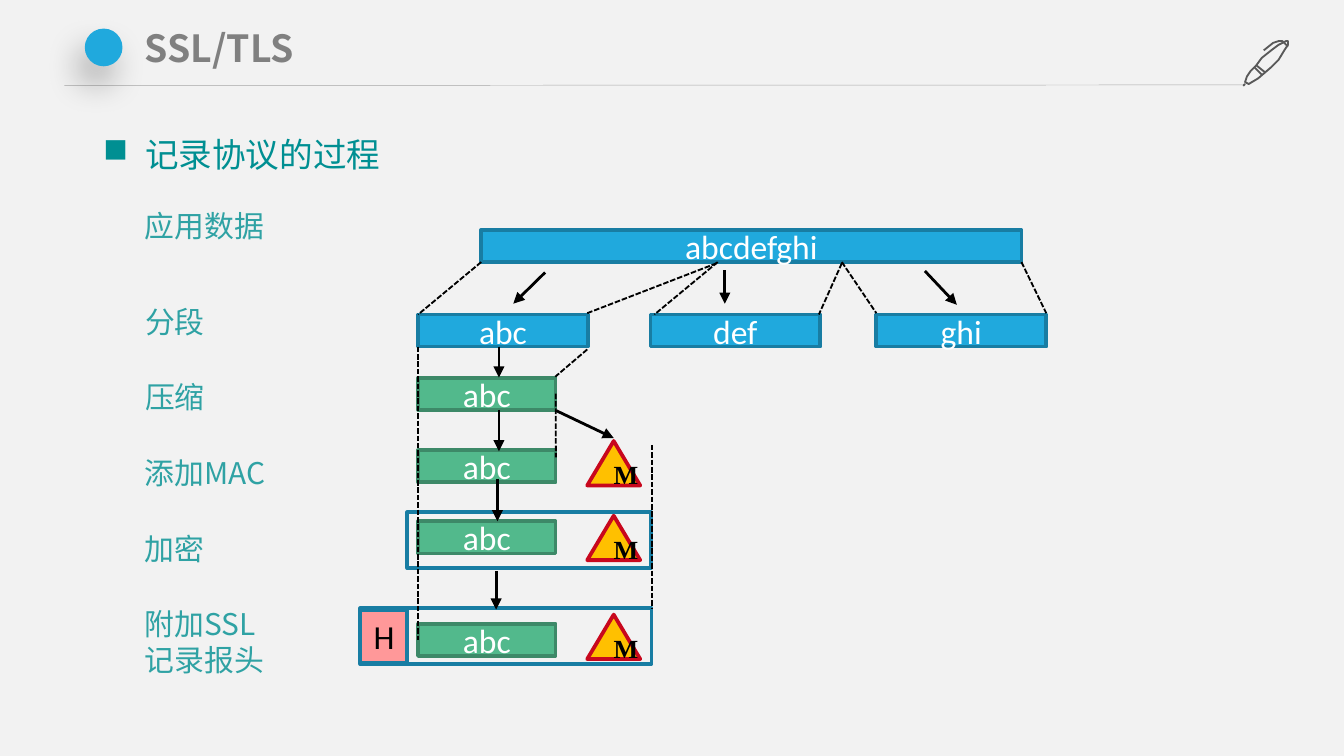
"""Build the slide on the steps of the SSL/TLS record protocol."""
import lxml.etree
import pptx
import pptx.dml.color
import pptx.enum.dml
import pptx.enum.shapes
import pptx.enum.text
import pptx.oxml.ns
import pptx.util

Pt = pptx.util.Pt
qn = pptx.oxml.ns.qn
add = lxml.etree.SubElement
kinds = pptx.enum.shapes.MSO_SHAPE
hue = pptx.dml.color.RGBColor.from_string
sans = "Noto Sans CJK SC"
styles = {
    "title": ({"name": sans, "size": Pt(20), "bold": True}, "808080"),
    "head": ({"name": sans, "size": Pt(18)}, "008F92"),
    "label": ({"name": sans, "size": Pt(16)}, "2FA2A4"),
    "data": ({"name": "Calibri", "size": Pt(18)}, "FFFFFF"),
    "front": ({"name": "Calibri", "size": Pt(18)}, "000000"),
    "mac": ({"name": "Times New Roman", "size": Pt(14), "bold": True}, "000000"),
}


def write(frame, text, style, align=None):
    values, tint = styles[style]
    for index, line in enumerate(text.split("\n")):
        para = frame.add_paragraph() if index else frame.paragraphs[0]
        para.alignment = align
        run = para.add_run()
        run.text = line
        for key, value in values.items():
            setattr(run.font, key, value)
        run.font.color.rgb = hue(tint)
        add(run.font._element, qn("a:ea"), typeface=values["name"])


def join(start, end, tint, width):
    link = shapes.add_connector(
        pptx.enum.shapes.MSO_CONNECTOR.STRAIGHT, *map(Pt, start + end))
    link.line.color.rgb = hue(tint)
    link.line.width = Pt(width)
    add(link._element.spPr, qn("a:effectLst"))
    return link


deck = pptx.Presentation()
deck.slide_width, deck.slide_height = Pt(720), Pt(405)
slide = deck.slides.add_slide(deck.slide_layouts[6])
slide.background.fill.solid()
slide.background.fill.fore_color.rgb = hue("F2F2F2")
shapes = slide.shapes

join((34.5, 45.8), (666, 45.5), "A6A6A6", 0.25)

strokes = [
    [(676.1, 39.6), (672.5, 36)],
    [(673.2, 34.6), (677.5, 38.9)],
    [(690.5, 22.3), (688.8, 22.1), (685.2, 23.7), (680.9, 27), (676.1, 31),
     (672.6, 34.7), (669.8, 38.2), (667.7, 41.4), (666.7, 43.9),
     (668.9, 45.4), (673.9, 42.3), (681.1, 36), (685.3, 31.5),
     (688.5, 27.3), (690.2, 24.2), (690.5, 22.3)],
    [(667.4, 44.6), (666, 46)],
    [(689.8, 25.2), (686.9, 22.3), (685, 22), (681.7, 23.4), (676.8, 27.4)],
]
pen = shapes.build_freeform(*strokes[0][0], scale=Pt(1))
for stroke in strokes:
    pen.move_to(*stroke[0])
    pen.add_line_segments(stroke[1:], close=False)
pen = pen.convert_to_shape()
pen.shadow.inherit = False
pen.fill.background()
pen.line.color.rgb = hue("595959")
pen.line.width = Pt(1)

rect, cone = kinds.RECTANGLE, kinds.ISOSCELES_TRIANGLE
blue, edge = "20A9DD", "187DA3"
boxes = [(kinds.OVAL, 45.4, 15.3, 20.2, 20.2, blue, None, "", "data"),
         (rect, 257.8, 123.2, 289.4, 17.2, blue, edge, "abcdefghi", "data")]
for left, text in (224, "abc"), (348.5, "def"), (469.5, "ghi"):
    boxes.append((rect, left, 168.5, 91, 17.2, blue, edge, text, "data"))
for top in 202.3, 241.2, 279.3, 334.2:
    boxes.append((rect, 224, top, 73.7, 17.2, "52B98C", "3D8968", "abc", "data"))
for top in 236.3, 276.3, 329.3:
    boxes.append((cone, 314.6, top, 28.4, 23.8, "FFC000", "C8071D", "M", "mac"))
boxes += [(rect, 218.2, 274.4, 130.6, 30, None, edge, "", "data"),
          (rect, 193, 325.8, 156, 30, None, edge, "", "data"),
          (rect, 193, 327, 25.2, 28, "FF9899", edge, "H", "front")]
made = []
for kind, left, top, width, height, fill, line, text, style in boxes:
    box = shapes.add_shape(kind, *map(Pt, (left, top, width, height)))
    box.shadow.inherit = False
    if fill:
        box.fill.solid()
        box.fill.fore_color.rgb = hue(fill)
    else:
        box.fill.background()
    if line:
        box.line.color.rgb = hue(line)
        box.line.width = Pt(2)
    else:
        box.line.fill.background()
    if text:
        box.text_frame.vertical_anchor = pptx.enum.text.MSO_ANCHOR.MIDDLE
        write(box.text_frame, text, style, pptx.enum.text.PP_ALIGN.CENTER)
    made.append(box)

glow = add(made[0]._element.spPr.find(qn("a:effectLst")), qn("a:outerShdw"),
           blurRad=str(Pt(18)), dist=str(Pt(11)), dir=str(113 * 60000))
tone = add(glow, qn("a:srgbClr"), val="000000")
add(tone, qn("a:alpha"), val="27000")

arrows = [
    ((292, 146), (275, 162.7)), ((388.3, 144.7), (388.3, 162.7)),
    ((495.5, 145.2), (512.6, 163.3)), ((267.3, 185.7), (267.3, 202.3)),
    ((267.3, 219.5), (267.3, 241.8)), ((266.5, 256.5), (266.5, 279.3)),
    ((265.8, 306), (265.8, 326.6)), ((298, 220), (328.8, 234.7)),
]
for start, end in arrows:
    link = join(start, end, "000000", 1.5)
    add(link._element.spPr.find(qn("a:ln")), qn("a:tailEnd"), type="triangle")

dashes = [
    ((257.8, 140.4), (224, 168.5)), ((384.5, 140.4), (350.6, 168.5)),
    ((451, 141), (438.7, 168.5)), ((384, 141), (314.6, 167.8)),
    ((451, 140.4), (469.5, 167.8)), ((547.2, 140.4), (560.5, 167.8)),
    ((314.6, 187.2), (297.5, 201.8)), ((224, 185.7), (224, 342.7)),
    ((349.2, 238.3), (349.2, 326)), ((297.7, 210.9), (297.8, 245)),
]
for start, end in dashes:
    link = join(start, end, "000000", 1)
    link.line.dash_style = pptx.enum.dml.MSO_LINE.SQUARE_DOT
link.begin_connect(made[5], 3)

notes = [
    (48.2, 62, 646.5, 34, "记录协议的过程", "head", True),
    (70.6, 10, 595.4, 31, "SSL/TLS", "title", True),
    (70.6, 108, 79.2, 26.6, "应用数据", "label", False),
    (70.6, 159, 46.8, 26.6, "分段", "label", False),
    (70.6, 199.5, 46.8, 26.6, "压缩", "label", False),
    (70.6, 240, 81.3, 26.6, "添加MAC", "label", False),
    (70.6, 280.6, 47.5, 26.6, "加密", "label", False),
    (70.6, 321, 79.2, 46, "附加SSL\n记录报头", "label", False),
]
for left, top, width, height, text, style, wrap in notes:
    frame = shapes.add_textbox(*map(Pt, (left, top, width, height))).text_frame
    frame.word_wrap = wrap
    frame.auto_size = pptx.enum.text.MSO_AUTO_SIZE.SHAPE_TO_FIT_TEXT
    if style == "head":
        para = frame.paragraphs[0]
        para.line_spacing, para.space_after = 1.3, Pt(3)
        props = para._p.get_or_add_pPr()
        props.set("marL", str(Pt(22.5)))
        props.set("indent", str(Pt(-22.5)))
        add(props, qn("a:buChar"), char="■")
    write(frame, text, style)

deck.save("out.pptx")
